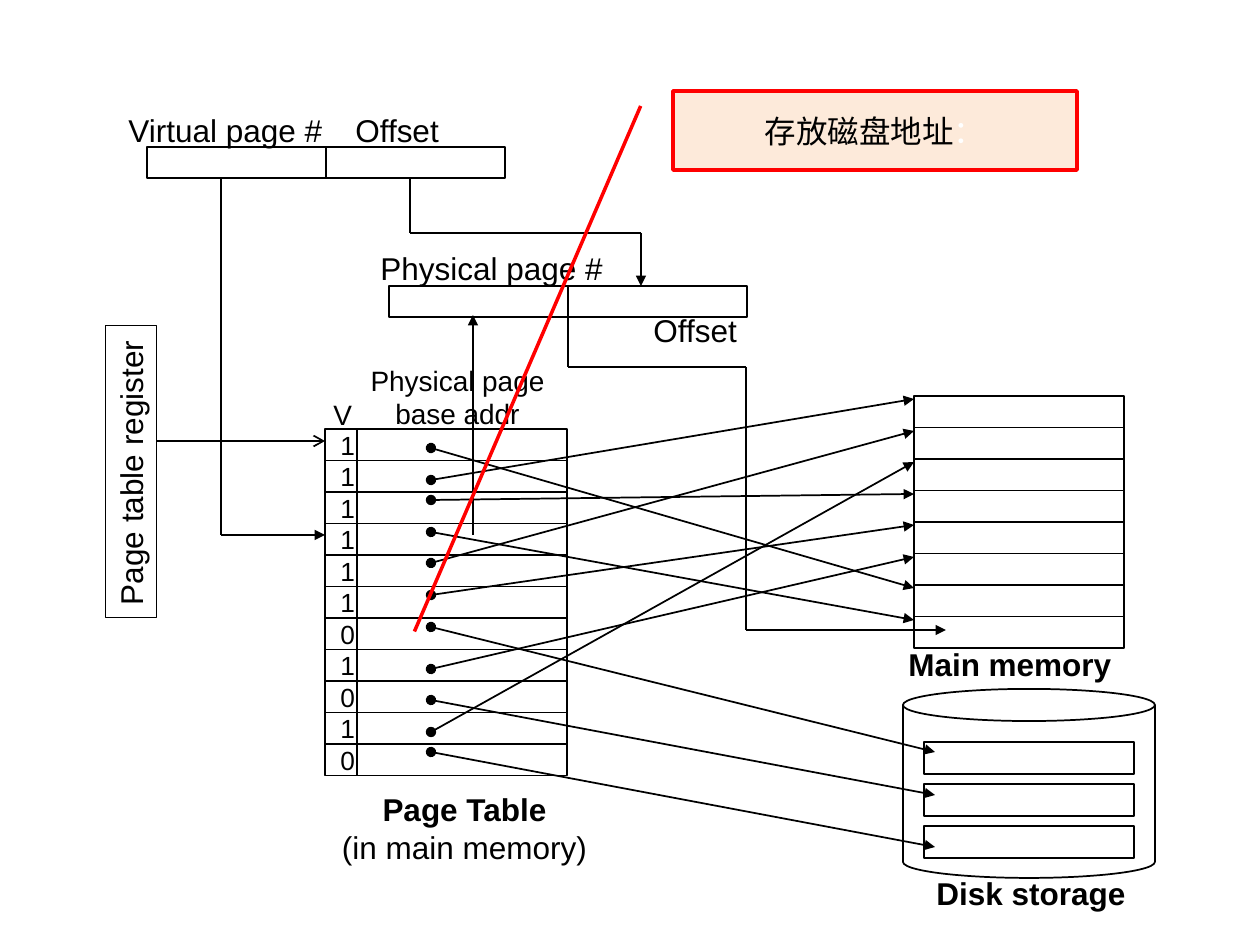
from lxml.etree import SubElement
from pptx import Presentation
from pptx.dml.color import RGBColor
from pptx.enum.shapes import MSO_CONNECTOR, MSO_SHAPE
from pptx.enum.text import MSO_ANCHOR, MSO_AUTO_SIZE, PP_ALIGN
from pptx.oxml.ns import qn
from pptx.util import Emu, Pt

COLORS = {"ink": "000000", "accent": "FF0000", "callout": "FDEADA", "pale": "FFFFFF"}
SCALE = 914400 / 126
ROW = 31.5  # height of one table or memory row


def px(value):
    return Emu(round(value * SCALE))


def color(name):
    return RGBColor.from_string(COLORS[name])


def add_run(paragraph, text, size, bold=False, font="Arial", ink="ink"):
    run = paragraph.add_run()
    run.text = text
    run.font.size = Pt(size)
    run.font.name = font
    run.font.bold = bold
    run.font.color.rgb = color(ink)


def add_box(slide, left, top, width, height, kind=MSO_SHAPE.RECTANGLE,
            line="ink", weight=1, fill=None):
    shape = slide.shapes.add_shape(kind, px(left), px(top), px(width), px(height))
    shape.shadow.inherit = False
    if fill:
        shape.fill.solid()
        shape.fill.fore_color.rgb = color(fill)
    else:
        shape.fill.background()
    shape.line.color.rgb = color(line)
    shape.line.width = Pt(weight)
    return shape


def add_line(slide, start, end, head=None, tail=None):
    connector = slide.shapes.add_connector(
        MSO_CONNECTOR.STRAIGHT, px(start[0]), px(start[1]), px(end[0]), px(end[1]))
    connector.line.color.rgb = color("ink")
    connector.line.width = Pt(1)
    outline = connector.line._get_or_add_ln()
    for tag, style in (("a:headEnd", head), ("a:tailEnd", tail)):
        if style:
            SubElement(outline, qn(tag), type=style)
    SubElement(connector._element.spPr, qn("a:effectLst"))


def add_path(slide, points, tail="triangle"):
    last = len(points) - 2
    for index, (start, end) in enumerate(zip(points, points[1:])):
        add_line(slide, start, end, tail=tail if index == last else None)


def add_label(slide, left, top, width, height, lines, size=18,
              align=PP_ALIGN.LEFT, spacing=None):
    """Each line is a pair of text and boldness."""
    box = slide.shapes.add_textbox(px(left), px(top), px(width), px(height))
    frame = box.text_frame
    frame.word_wrap = False
    frame.auto_size = MSO_AUTO_SIZE.SHAPE_TO_FIT_TEXT
    for index, (text, bold) in enumerate(lines):
        paragraph = frame.add_paragraph() if index else frame.paragraphs[0]
        paragraph.alignment = align
        if spacing:
            paragraph.line_spacing = Pt(spacing)
        add_run(paragraph, text, size, bold)


def add_rows(slide, left, top, width, count):
    add_box(slide, left, top, width, ROW * count)
    for row in range(1, count):
        y = top + ROW * row
        add_line(slide, (left, y), (left + width, y))


def add_address(slide, left, top):
    for column in range(2):
        add_box(slide, left + 179 * column, top, 179, 31)


def add_storage(slide):
    # Page table, main memory and disk
    add_rows(slide, 325, 429, 242, 11)
    add_line(slide, (357, 429), (357, 776))
    add_rows(slide, 914, 396, 210, 8)
    disk = add_box(slide, 903, 689, 252, 189, MSO_SHAPE.CAN)
    disk.adjustments[0] = 0.17
    for block in range(3):
        add_box(slide, 924, 742 + 42 * block, 210, 32)


def add_mappings(slide):
    # Page entries: their height, and where each one points
    memory = [(448, 588), (480, 399), (500, 494), (532, 620), (563, 431),
              (595, 525), (669, 557), (732, 462)]
    disk = [(627, 752), (700, 795), (752, 847)]
    for target_x, entries in ((914, memory), (935, disk)):
        for start_y, end_y in entries:
            add_line(slide, (431, start_y), (target_x, end_y), "oval", "triangle")


def add_labels(slide):
    center = PP_ALIGN.CENTER
    for left, top, width, text, bold in (
            (116, 105, 219, "Virtual page #", False),
            (343, 105, 110, "Offset", False),
            (368, 243, 248, "Physical page #", False),
            (641, 305, 110, "Offset", False),
            (896, 639, 228, "Main memory", True),
            (924, 868, 214, "Disk storage", True)):
        add_label(slide, left, top, width, 50, [(text, bold)])
    add_label(slide, 358, 357, 199, 81,
              [("Physical page", False), ("base addr", False)], 16, center)
    add_label(slide, 321, 391, 44, 47, [("V", False)], 16)
    add_label(slide, 328, 423, 40, 359,
              [(bit, False) for bit in "11111101010"], 15, spacing=18)
    add_label(slide, 329, 784, 271, 88,
              [("Page Table", True), ("(in main memory)", False)], 18, center)


def add_register(slide):
    register = add_box(slide, -15, 446, 292, 51, weight=0.75)
    register.rotation = 270
    frame = register.text_frame
    frame.word_wrap = False
    frame.vertical_anchor = MSO_ANCHOR.TOP
    frame.paragraphs[0].alignment = PP_ALIGN.LEFT
    add_run(frame.paragraphs[0], "Page table register", 18)
    add_line(slide, (157, 441), (325, 441), tail="arrow")


def add_callout(slide):
    callout = add_box(slide, 673, 91, 404, 79, MSO_SHAPE.LINE_CALLOUT_1,
                      "accent", 2, "callout")
    for index, value in enumerate((0.19, -0.08, 6.84, -0.64)):
        callout.adjustments[index] = value
    frame = callout.text_frame
    frame.vertical_anchor = MSO_ANCHOR.MIDDLE
    paragraph = frame.paragraphs[0]
    paragraph.alignment = PP_ALIGN.CENTER
    add_run(paragraph, "存放磁盘地址", 18, font="Calibri")
    add_run(paragraph, "：", 18, font="Calibri", ink="pale")


def main():
    presentation = Presentation()
    presentation.slide_width = px(1260)
    presentation.slide_height = px(945)
    slide = presentation.slides.add_slide(presentation.slide_layouts[6])

    add_storage(slide)
    add_mappings(slide)

    # Virtual and physical addresses with their routes
    add_address(slide, 147, 147)
    add_address(slide, 389, 286)
    add_path(slide, [(221, 179), (221, 535), (325, 535)])
    add_path(slide, [(473, 535), (473, 315)])
    add_path(slide, [(410, 179), (410, 233), (641, 233), (641, 286)])
    add_path(slide, [(568, 315), (568, 367), (746, 367), (746, 630), (946, 630)])

    add_labels(slide)
    add_register(slide)
    add_callout(slide)
    presentation.save("out.pptx")


main()
